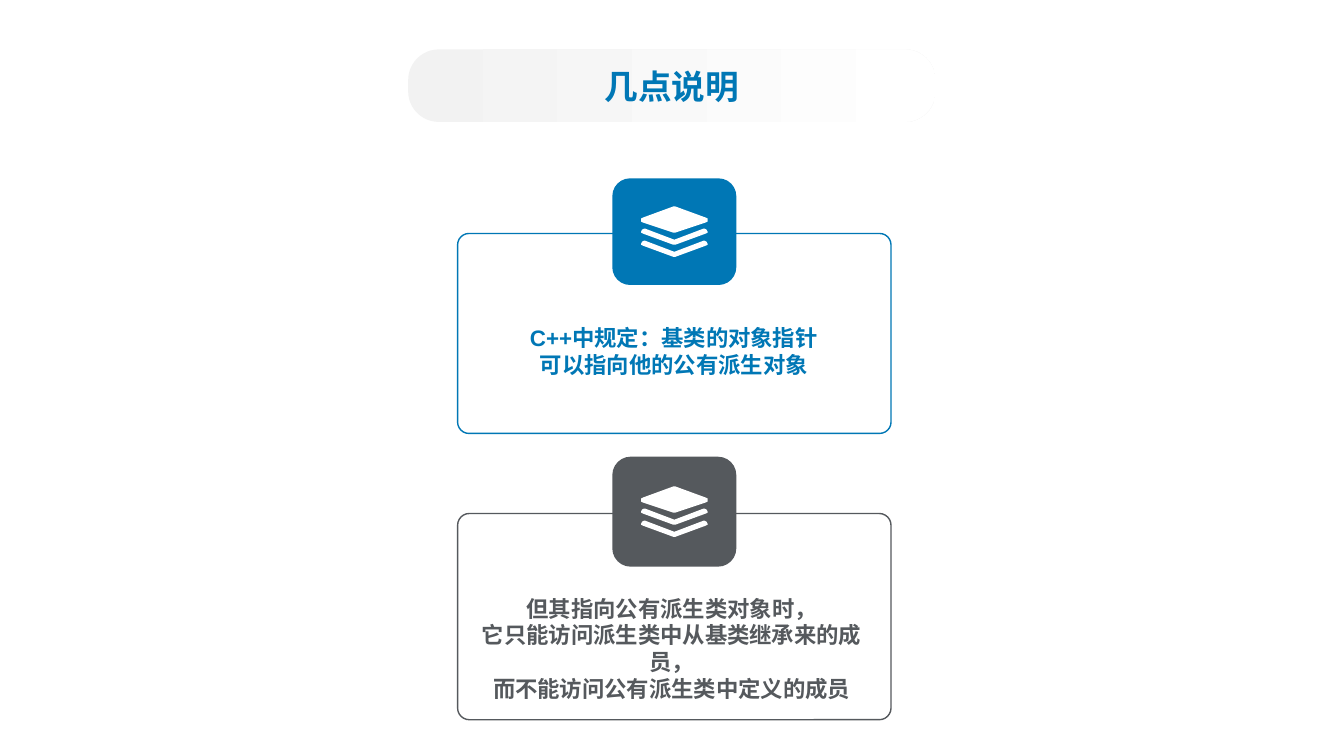
import lxml.etree
import pptx
import pptx.dml.color
import pptx.enum.shapes
import pptx.enum.text
import pptx.oxml.ns
import pptx.util

Pt = pptx.util.Pt
ROUNDED = pptx.enum.shapes.MSO_SHAPE.ROUNDED_RECTANGLE
BLUE = pptx.dml.color.RGBColor(0x00, 0x77, 0xB5)
GRAY = pptx.dml.color.RGBColor(0x55, 0x59, 0x5D)
PALE = pptx.dml.color.RGBColor(0xF2, 0xF2, 0xF2)
WHITE = pptx.dml.color.RGBColor(0xFF, 0xFF, 0xFF)
CJK_FONT = "Noto Sans CJK SC"

# Icon outlines in units of 0.72 pt
ICON_UNIT, ICON_WIDTH, ICON_HEIGHT = 0.72, 66, 50
SHEET = [(33, 0), (34, 0), (64, 11), (65.5, 12), (66, 13), (65.5, 15), (64, 16),
         (34, 26), (32, 26), (2, 16), (0.5, 15), (0, 13), (0.5, 12), (2, 11), (32, 0)]
EDGE = [(3, 22), (4, 22), (33, 33), (62, 22), (63, 22), (65, 23), (66, 25),
        (65.5, 26.3), (64, 27), (34, 38), (32, 38), (2, 27), (0.5, 26.3),
        (0, 25), (1, 23)]
LOWER_EDGE = [(x, y + 12) for x, y in EDGE]


def add_rounded(page, left, top, width, height, radius):
    shape = page.shapes.add_shape(ROUNDED, Pt(left), Pt(top), Pt(width), Pt(height))
    shape.adjustments[0] = radius
    shape.shadow.inherit = False
    shape.line.fill.background()
    return shape


def write_lines(frame, lines, size, color, font_name):
    for index, line in enumerate(lines):
        para = frame.paragraphs[0] if index == 0 else frame.add_paragraph()
        para.text = line
        para.alignment = pptx.enum.text.PP_ALIGN.CENTER
        font = para.font
        font.size, font.bold, font.name = Pt(size), True, font_name
        font.color.rgb = color
        defaults = para._p.pPr.find(pptx.oxml.ns.qn("a:defRPr"))
        lxml.etree.SubElement(defaults, pptx.oxml.ns.qn("a:ea"), typeface=CJK_FONT)


def add_title(page, left, top, width, height, text):
    banner = add_rounded(page, left, top, width, height, 0.423)
    banner.fill.gradient()
    banner.fill.gradient_angle = 0
    for stop, position, color in zip(banner.fill.gradient_stops, (0, 0.99), (PALE, WHITE)):
        stop.position = position
        stop.color.rgb = color
    banner.text_frame.vertical_anchor = pptx.enum.text.MSO_ANCHOR.MIDDLE
    write_lines(banner.text_frame, [text], 24, BLUE, CJK_FONT)


def add_stack_icon(page, left, top):
    builder = page.shapes.build_freeform(*SHEET[0], scale=float(Pt(ICON_UNIT)))
    builder.add_line_segments(SHEET[1:])
    for outline in (EDGE, LOWER_EDGE):
        builder.move_to(*outline[0])
        builder.add_line_segments(outline[1:])
    icon = builder.convert_to_shape(Pt(left), Pt(top))
    icon.shadow.inherit = False
    icon.fill.solid()
    icon.fill.fore_color.rgb = WHITE
    icon.line.fill.background()


def add_card(page, left, top, width, height, color, lines, text_left, text_top):
    """Framed text with an icon badge over the middle of the top edge."""
    frame_drop = 0.216 * height
    frame = add_rounded(page, left, top + frame_drop, width, height - frame_drop, 0.057)
    frame.fill.background()
    frame.line.color.rgb = color
    frame.line.width = Pt(1)

    badge_width, badge_height = 88.56, 0.418 * height
    badge_left = left + (width - badge_width) / 2
    badge = add_rounded(page, badge_left, top, badge_width, badge_height, 0.16667)
    badge.fill.solid()
    badge.fill.fore_color.rgb = color
    add_stack_icon(page, badge_left + (badge_width - ICON_WIDTH * ICON_UNIT) / 2,
                   top + (badge_height - ICON_HEIGHT * ICON_UNIT) / 2)

    box = page.shapes.add_textbox(Pt(left + text_left), Pt(top + text_top),
                                  Pt(281.5), Pt(63))
    text = box.text_frame
    text.margin_left = text.margin_right = text.margin_top = text.margin_bottom = 0
    text.word_wrap = False
    write_lines(text, lines, 16, color, "Arial")


def main():
    deck = pptx.Presentation()
    deck.slide_width, deck.slide_height = Pt(960), Pt(540)
    page = deck.slides.add_slide(deck.slide_layouts[6])
    add_card(page, 326.9, 127.4, 309.6, 182.2, BLUE,
             ["C++中规定：基类的对象指针", "可以指向他的公有派生对象"], 13.7, 104.4)
    add_card(page, 326.9, 326.2, 309.6, 187.9, GRAY,
             ["但其指向公有派生类对象时，", "它只能访问派生类中从基类继承来的成员，",
              "而不能访问公有派生类中定义的成员"], 12.2, 98.6)
    add_title(page, 291.6, 35.3, 376.6, 51.8, "几点说明")
    deck.save("out.pptx")


if __name__ == "__main__":
    main()
